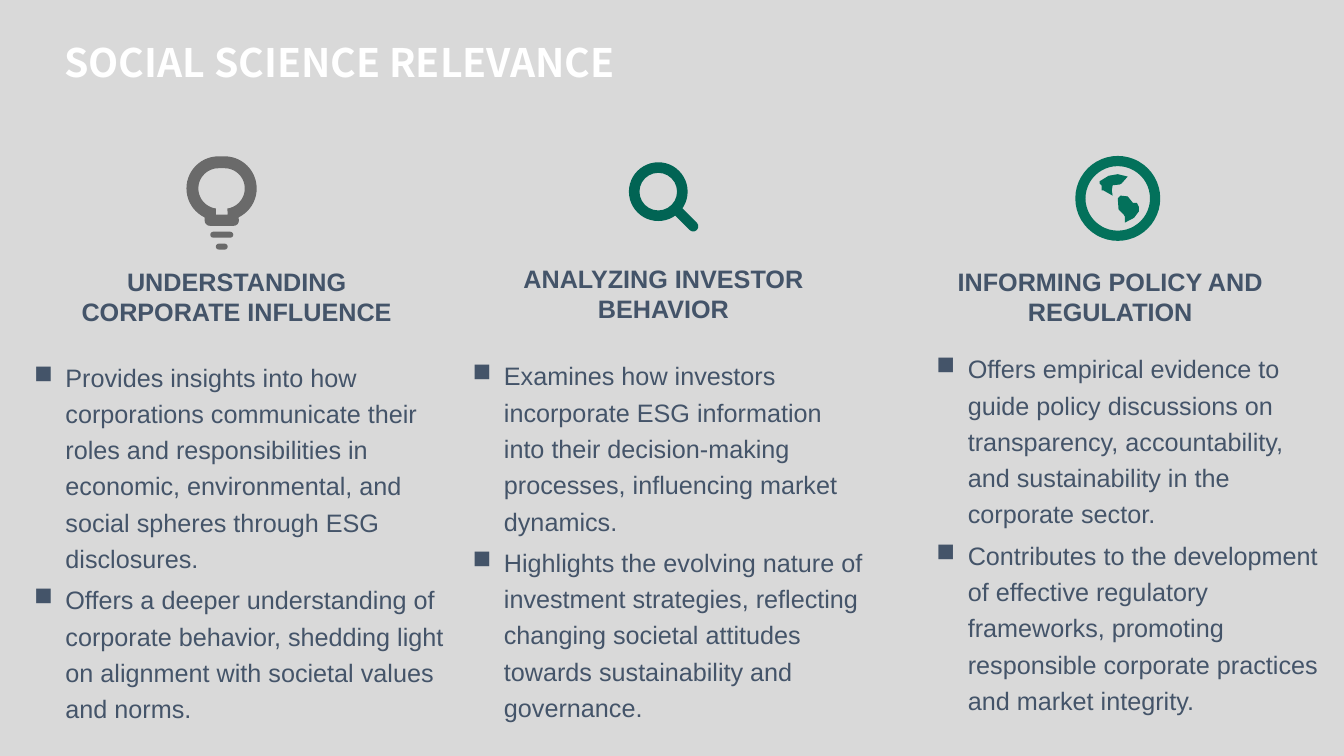
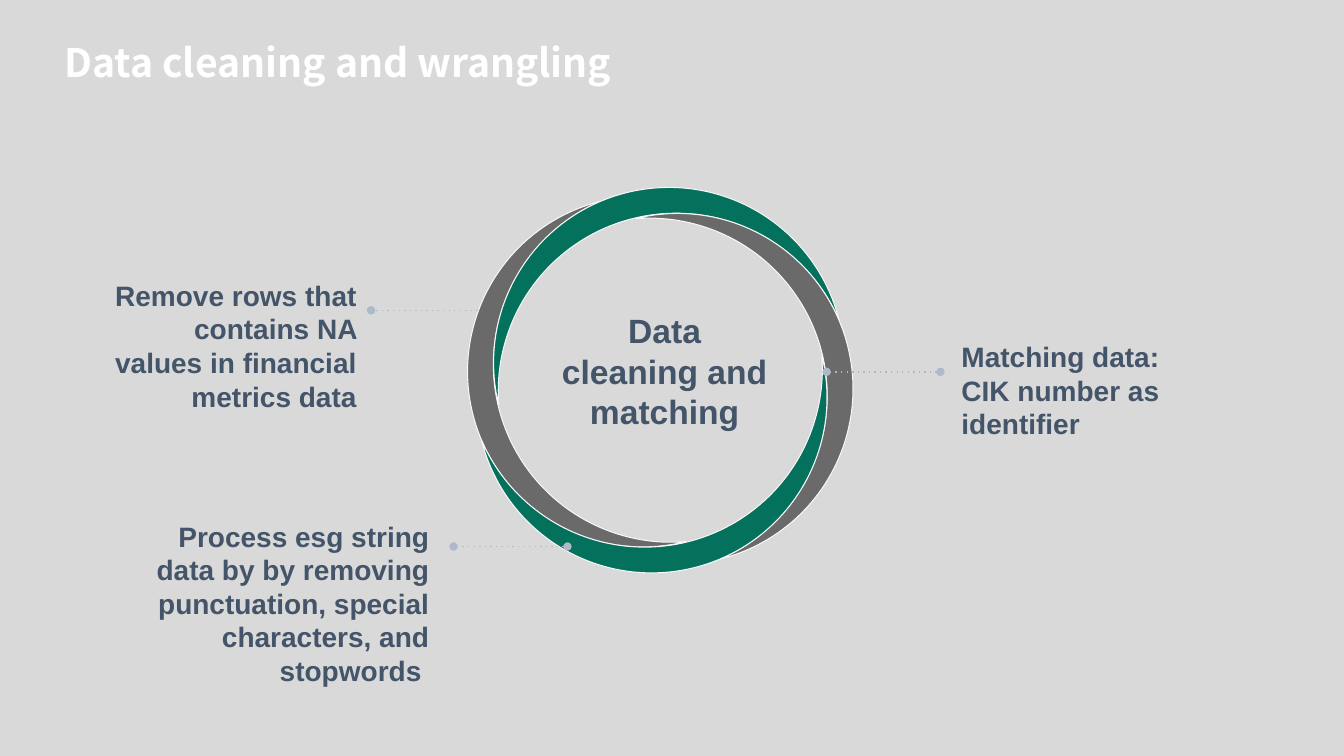
from dataclasses import dataclass
from math import cos, radians, sin

from lxml.etree import SubElement
from pptx import Presentation
from pptx.dml.color import RGBColor
from pptx.enum.shapes import MSO_CONNECTOR, MSO_SHAPE
from pptx.enum.text import MSO_ANCHOR, MSO_AUTO_SIZE, PP_ALIGN
from pptx.oxml.ns import qn
from pptx.util import Cm, Pt


@dataclass(frozen=True)
class Theme:
    back: str = "D9D9D9"
    white: str = "FFFFFF"
    ink: str = "445469"
    gray: str = "6A6A6A"
    green: str = "03715B"
    deep: str = "016454"
    edge: str = "F8F8F8"
    wire: str = "ADBACA"
    face: str = "Arial"
    head: str = "Noto Sans CJK SC"
    title: int = 28
    hub: int = 24
    note: int = 20
    body: int = 18


def arc(x, y, r, start, end, steps=24):
    """Points on a circle, clockwise from start to end in degrees."""
    turns = [radians(start + (end - start) * i / steps) for i in range(steps + 1)]
    return [(x + r * cos(t), y + r * sin(t)) for t in turns]


class Deck:
    def __init__(self, theme):
        self.theme = theme
        self.prs = Presentation()
        self.prs.slide_width, self.prs.slide_height = Cm(33.87), Cm(19.05)
        fill = self.prs.slide_master.background.fill
        fill.solid()
        fill.fore_color.rgb = RGBColor.from_string(theme.back)
        self.slide = None

    def font(self, para, size, color, bold=False, face=None):
        font = para.font
        font.name, font.size, font.bold = face or self.theme.face, Pt(size), bold
        font.color.rgb = RGBColor.from_string(color)

    def page(self, title):
        self.slide = self.prs.slides.add_slide(self.prs.slide_layouts[5])
        box = self.slide.shapes.title
        box.left, box.top, box.width, box.height = Cm(1.37), Cm(0.91), Cm(22.5), Cm(1.45)
        frame = box.text_frame
        frame.text = title
        frame.auto_size = MSO_AUTO_SIZE.NONE
        frame.vertical_anchor = MSO_ANCHOR.MIDDLE
        para = frame.paragraphs[0]
        para.alignment, para.line_spacing = PP_ALIGN.LEFT, 0.9
        self.font(para, self.theme.title, self.theme.white, True, self.theme.head)

    def frame(self, x, y, w, h):
        box = self.slide.shapes.add_textbox(Cm(x), Cm(y), Cm(w), Cm(h))
        frame = box.text_frame
        frame.word_wrap = True
        frame.margin_left = frame.margin_right = 0
        frame.margin_top = frame.margin_bottom = 0
        return frame

    def label(self, text, x, y, w, h, size, align):
        para = self.frame(x, y, w, h).paragraphs[0]
        para.text, para.alignment = text, align
        self.font(para, size, self.theme.ink, True)

    def bullets(self, items, x, y, w, h):
        frame = self.frame(x, y, w, h)
        for i, item in enumerate(items):
            para = frame.add_paragraph() if i else frame.paragraphs[0]
            para.text, para.line_spacing = item, 1.2
            if i:
                para.space_before = Pt(3.6)
            props = para._p.get_or_add_pPr()
            props.set("marL", str(Cm(0.79)))
            props.set("indent", str(-Cm(0.79)))
            tint = SubElement(props, qn("a:buClr"))
            SubElement(tint, qn("a:srgbClr"), val=self.theme.ink)
            SubElement(props, qn("a:buChar"), char="■")
            self.font(para, self.theme.body, self.theme.ink)

    def paint(self, shape, color, edge=None):
        shape.shadow.inherit = False
        shape.fill.solid()
        shape.fill.fore_color.rgb = RGBColor.from_string(color)
        if edge:
            shape.line.color.rgb = RGBColor.from_string(edge)
            shape.line.width = Pt(0.75)
        else:
            shape.line.fill.background()

    def shape(self, kind, x, y, w, h, color, adjust, turn=0, edge=None):
        shape = self.slide.shapes.add_shape(kind, Cm(x), Cm(y), Cm(w), Cm(h))
        shape.adjustments[0] = adjust
        shape.rotation = turn
        self.paint(shape, color, edge)

    def outline(self, color, *loops):
        loops = [[(Cm(x), Cm(y)) for x, y in loop] for loop in loops]
        pen = self.slide.shapes.build_freeform(*loops[0][0])
        for i, loop in enumerate(loops):
            if i:
                pen.move_to(*loop[0])
            pen.add_line_segments(loop[1:], close=True)
        self.paint(pen.convert_to_shape(), color)

    def wire(self, x, y, end):
        line = self.slide.shapes.add_connector(
            MSO_CONNECTOR.STRAIGHT, Cm(x), Cm(y), Cm(end), Cm(y))
        line.line.color.rgb = RGBColor.from_string(self.theme.wire)
        line.line.width = Pt(1)
        props = line.line._get_or_add_ln()
        SubElement(props, qn("a:prstDash"), val="dot")
        for tip in ("a:headEnd", "a:tailEnd"):
            SubElement(props, qn(tip), type="oval")
        SubElement(line._element.spPr, qn("a:effectLst"))

    # Icons
    def bulb(self):
        color = self.theme.gray
        glass = (arc(5.51, 4.75, 0.81, 116, 270) + arc(5.66, 4.75, 0.81, 270, 424)
                 + arc(5.89, 5.56, 0.13, 0, 90) + arc(5.29, 5.56, 0.13, 90, 180))
        hole = (arc(5.51, 4.75, 0.51, 98, 270) + arc(5.66, 4.75, 0.51, 270, 442)
                + [(5.74, 5.41), (5.44, 5.41)])
        self.outline(color, glass, hole)
        for x, y, w in ((5.3, 5.84, 0.58), (5.44, 6.14, 0.3)):
            self.shape(MSO_SHAPE.ROUNDED_RECTANGLE, x, y, w, 0.15, color, 0.5)

    def lens(self):
        color = self.theme.deep
        self.shape(MSO_SHAPE.DONUT, 15.85, 4.09, 1.48, 1.48, color, 0.18)
        self.shape(MSO_SHAPE.ROUNDED_RECTANGLE, 16.87, 5.38, 0.81, 0.26, color, 0.5, 45)

    def globe(self):
        color = self.theme.green
        self.shape(MSO_SHAPE.DONUT, 27.1, 3.93, 2.14, 2.14, color, 0.12)
        north = [(28.42, 4.45), (28.27, 4.62), (28.22, 4.65), (28.04, 4.67),
                 (28.02, 4.8), (28.04, 4.93), (27.81, 4.8), (27.76, 4.8),
                 (27.76, 4.67), (27.71, 4.62), (27.71, 4.57), (27.94, 4.43),
                 (28.17, 4.39)]
        south = [(28.58, 5.49), (28.35, 5.61), (28.35, 5.46), (28.32, 5.41),
                 (28.19, 5.28), (28.17, 5), (28.24, 4.93), (28.42, 4.95),
                 (28.55, 5.11), (28.65, 5.11), (28.7, 5.21), (28.7, 5.33)]
        self.outline(color, north, south)


def themes(deck):
    deck.page("SOCIAL SCIENCE RELEVANCE")
    # Icon, heading and its place, bullets and their place
    columns = [
        (deck.bulb, "UNDERSTANDING CORPORATE INFLUENCE", (1.75, 6.71, 8.43), [
            "Provides insights into how corporations communicate their roles and "
            "responsibilities in economic, environmental, and social spheres through "
            "ESG disclosures.",
            "Offers a deeper understanding of corporate behavior, shedding light on "
            "alignment with societal values and norms.",
        ], (0.86, 8.97, 11.05)),
        (deck.lens, "ANALYZING INVESTOR BEHAVIOR", (12.34, 6.63, 8.76), [
            "Examines how investors incorporate ESG information into their "
            "decision-making processes, influencing market dynamics.",
            "Highlights the evolving nature of investment strategies, reflecting "
            "changing societal attitudes towards sustainability and governance.",
        ], (11.91, 8.94, 9.93)),
        (deck.globe, "INFORMING POLICY AND REGULATION", (23.6, 6.71, 8.76), [
            "Offers empirical evidence to guide policy discussions on transparency, "
            "accountability, and sustainability in the corporate sector.",
            "Contributes to the development of effective regulatory frameworks, "
            "promoting responsible corporate practices and market integrity.",
        ], (23.6, 8.76, 9.93)),
    ]
    for icon, head, spot, items, place in columns:
        icon()
        deck.label(head, *spot, 1.55, deck.theme.body, PP_ALIGN.CENTER)
        deck.bullets(items, *place, 9)


def cleaning(deck):
    theme = deck.theme
    deck.page("Data cleaning and wrangling")
    deck.wire(12.27, 7.82, 9.35)

    # Notes around the ring
    notes = [
        ("Remove rows that contains NA values in financial metrics data",
         (2.64, 7.01, 6.35, 3.4), PP_ALIGN.RIGHT),
        ("Process esg string data by by removing punctuation, special characters, "
         "and stopwords ", (3.71, 13.08, 7.11, 4.27), PP_ALIGN.RIGHT),
        ("Matching data: CIK number as identifier",
         (24.23, 8.56, 5.44, 3.38), PP_ALIGN.LEFT),
    ]
    for text, place, align in notes:
        deck.label(text, *place, theme.note, align)

    # Ring of four moons, each a quarter turn on
    wide, tall = 4.42, 8.84
    dx, dy = -2.58, 0.32
    for i in range(4):
        color = theme.green if i % 2 else theme.gray
        deck.shape(MSO_SHAPE.MOON, 16.64 + dx - wide / 2, 9.58 + dy - tall / 2,
                   wide, tall, color, 0.152, (345.9 + 90 * i) % 360, theme.edge)
        dx, dy = -dy, dx

    deck.label("Data cleaning and matching", 14.07, 7.82, 5.36, 3.07,
               theme.hub, PP_ALIGN.CENTER)
    deck.wire(14.3, 13.77, 11.43)
    deck.wire(23.7, 9.37, 20.83)


def main():
    deck = Deck(Theme())
    themes(deck)
    cleaning(deck)
    deck.prs.save("out.pptx")


if __name__ == "__main__":
    main()
